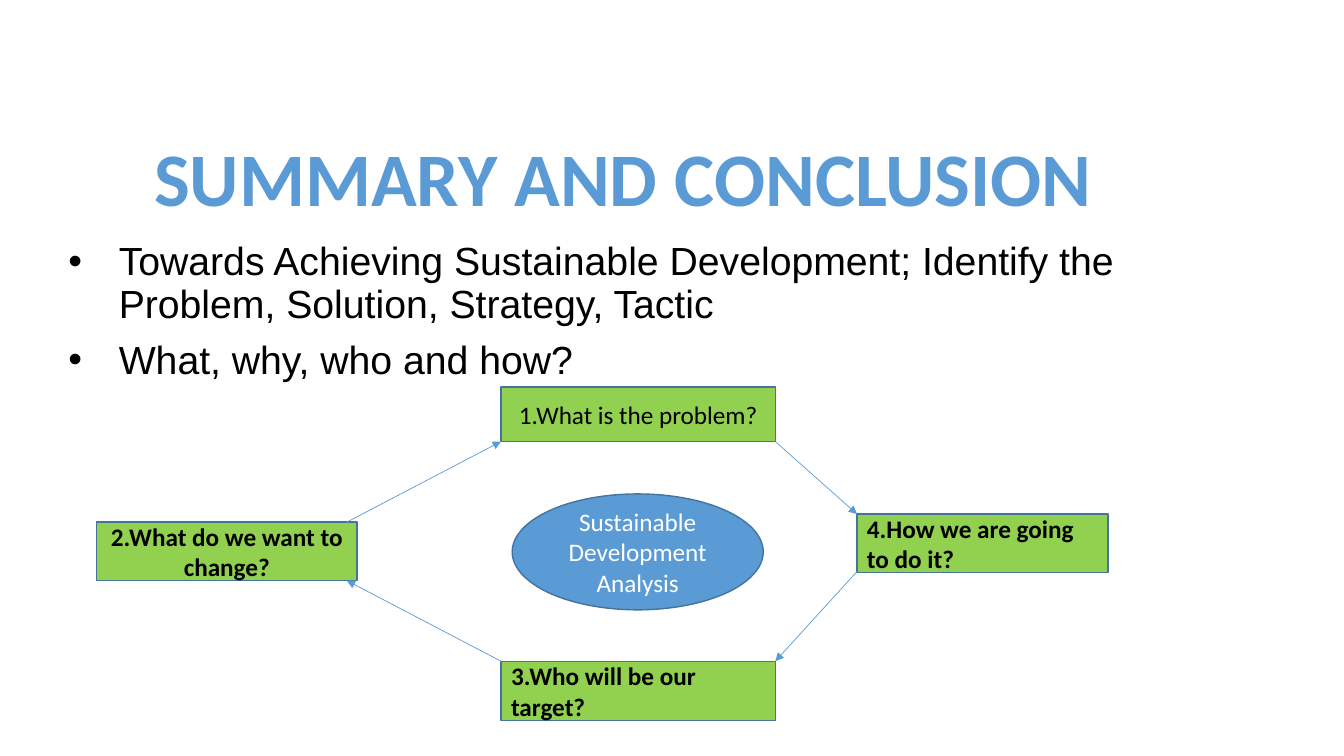
from dataclasses import dataclass

from lxml.etree import SubElement
from pptx import Presentation
from pptx.dml.color import RGBColor
from pptx.enum.shapes import MSO_CONNECTOR as Connector, MSO_SHAPE as Preset
from pptx.enum.text import MSO_ANCHOR as Anchor, PP_ALIGN as Align
from pptx.oxml.ns import qn
from pptx.slide import Slide
from pptx.util import Inches, Pt

BLUE, GREEN, EDGE = "5B9BD5", "92D050", "43739E"
BLACK, WHITE = "000000", "FFFFFF"


@dataclass
class Node:
    text: str
    left: float
    top: float
    width: float
    height: float
    align: Align = Align.CENTER
    bold: bool = True
    preset: Preset = Preset.RECTANGLE
    fill: str = GREEN
    color: str = BLACK


@dataclass
class Arrow:
    start: tuple[float, float]
    end: tuple[float, float]


def rgb(value: str) -> RGBColor:
    return RGBColor.from_string(value)


def style(para, color: str, **formats) -> None:
    for name, value in formats.items():
        setattr(para.font, name, value)
    para.font.color.rgb = rgb(color)


def add_text_box(page: Slide, left: float, top: float, width: float, height: float, anchor: Anchor):
    box = page.shapes.add_textbox(Inches(left), Inches(top), Inches(width), Inches(height))
    box.text_frame.word_wrap = True
    box.text_frame.vertical_anchor = anchor
    return box.text_frame


def add_bullet(para) -> None:
    props = para._p.get_or_add_pPr()
    props.set("marL", str(Inches(0.5)))
    props.set("indent", str(-Inches(0.5)))
    SubElement(props, qn("a:buFont")).set("typeface", "Arial")
    SubElement(props, qn("a:buChar")).set("char", "•")


def add_node(page: Slide, node: Node) -> None:
    shape = page.shapes.add_shape(
        node.preset, Inches(node.left), Inches(node.top), Inches(node.width), Inches(node.height)
    )
    shape.shadow.inherit = False
    shape.fill.solid()
    shape.fill.fore_color.rgb = rgb(node.fill)
    shape.line.color.rgb = rgb(EDGE)
    shape.line.width = Pt(1)
    frame = shape.text_frame
    frame.word_wrap = True
    frame.vertical_anchor = Anchor.MIDDLE
    para = frame.paragraphs[0]
    para.text = node.text
    para.alignment = node.align
    style(para, node.color, name="Calibri", size=Pt(18), bold=node.bold)


def add_arrow(page: Slide, arrow: Arrow) -> None:
    points = [Inches(value) for value in (*arrow.start, *arrow.end)]
    line = page.shapes.add_connector(Connector.STRAIGHT, *points)
    line.line.color.rgb = rgb(BLUE)
    line.line.width = Pt(0.5)
    SubElement(line.line._get_or_add_ln(), qn("a:tailEnd")).set("type", "triangle")
    SubElement(line._element.spPr, qn("a:effectLst"))


BULLETS = [
    "Towards Achieving Sustainable Development; Identify the Problem, Solution, Strategy, Tactic",
    "What, why, who and how?",
]

NODES = [
    Node("1.What is the problem?", 4.97, 3.84, 2.72, 0.54, bold=False),
    Node("2.What do we want to change?", 0.96, 5.18, 2.58, 0.58),
    Node("3.Who will be our target?", 4.97, 6.56, 2.72, 0.59, align=Align.LEFT),
    Node("4.How we are going to do it?", 8.5, 5.1, 2.49, 0.58, align=Align.LEFT),
    Node("Sustainable Development Analysis", 5.08, 4.9, 2.49, 1.15,
         bold=False, preset=Preset.OVAL, fill=BLUE, color=WHITE),
]

ARROWS = [
    Arrow((7.69, 4.38), (8.5, 5.1)),
    Arrow((8.5, 5.67), (7.69, 6.56)),
    Arrow((4.97, 6.56), (3.44, 5.76)),
    Arrow((3.44, 5.18), (4.97, 4.38)),
]


def main() -> None:
    deck = Presentation()
    deck.slide_width, deck.slide_height = Inches(13.33), Inches(7.5)
    page = deck.slides.add_slide(deck.slide_layouts[6])

    # Title
    title = add_text_box(page, 1.43, 1.41, 10.17, 0.85, Anchor.BOTTOM).paragraphs[0]
    title.text = "SUMMARY AND CONCLUSION"
    title.line_spacing = 0.9
    style(title, BLUE, name="Calibri", size=Pt(54), bold=True)

    # Bulleted points
    body = add_text_box(page, 0.58, 2.35, 11.5, 4.78, Anchor.TOP)
    for index, text in enumerate(BULLETS):
        para = body.add_paragraph() if index else body.paragraphs[0]
        para.text = text
        para.line_spacing = 0.9
        if index:
            para.space_before = Pt(10)
        add_bullet(para)
        style(para, BLACK, name="Arial", size=Pt(28))

    # Analysis cycle
    for node in NODES:
        add_node(page, node)
    for arrow in ARROWS:
        add_arrow(page, arrow)

    deck.save("out.pptx")


if __name__ == "__main__":
    main()
